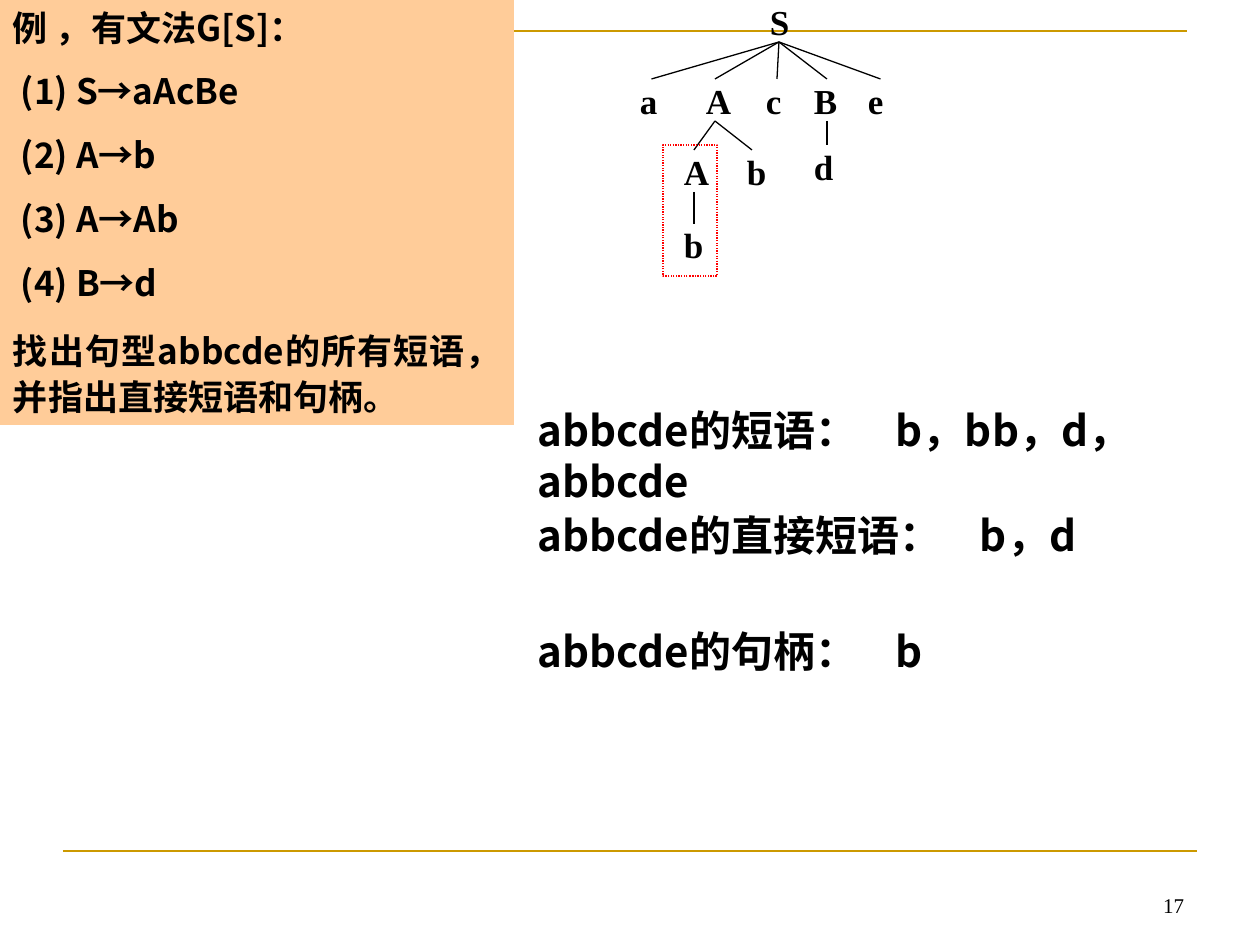
from lxml.etree import SubElement
from pptx import Presentation
from pptx.dml.color import RGBColor
from pptx.enum.dml import MSO_LINE_DASH_STYLE as Dash
from pptx.enum.shapes import MSO_CONNECTOR as Connector, MSO_SHAPE as Shape
from pptx.enum.text import MSO_ANCHOR as Anchor, PP_ALIGN as Align
from pptx.oxml.ns import qn
from pptx.util import Emu, Pt

PX = 914400 // 126
SANS, SERIF = "Noto Sans CJK SC", "Times New Roman"
BLACK, GOLD, RED, PEACH = "000000", "CC9900", "FF0000", "FFCC99"

GRAMMAR = [
    "例 ，有文法G[S]：",
    "(1) S→aAcBe",
    "(2) A→b",
    "(3) A→Ab",
    "(4) B→d",
    "找出句型abbcde的所有短语，并指出直接短语和句柄。",
]
RULE_INDENT = 8

# label and phrases, top, width, height, tab position
ANSWERS = [
    ("abbcde的短语：\tb，bb，d，abbcde", 399, 735, 113, 358),
    ("abbcde的直接短语：\tb，d", 504, 640, 63, 442),
    ("abbcde的句柄：\tb", 620, 640, 63, 358),
]
ANSWER_LEFT = 525

# node: letter, left, top, width, parent
TREE = {
    "S": ("S", 770, 0, 18, None),
    "a": ("a", 640, 79, 23, "S"),
    "A": ("A", 706, 79, 18, "S"),
    "c": ("c", 766, 79, 22, "S"),
    "B": ("B", 814, 79, 26, "S"),
    "e": ("e", 868, 79, 25, "S"),
    "inner A": ("A", 684, 150, 20, "A"),
    "right b": ("b", 747, 150, 10, "A"),
    "d": ("d", 814, 145, 26, "B"),
    "handle b": ("b", 684, 224, 20, "inner A"),
}
NODE_HEIGHT = 42
HANDLE_FRAME = (663, 145, 54, 131)


def px(value):
    return Emu(value * PX)


def rgb(color):
    return RGBColor.from_string(color)


def set_line(shape, color, width):
    shape.line.color.rgb = rgb(color)
    shape.line.width = Pt(width)


def set_font(para, size, name, bold=True):
    for span in para.runs:
        font = span.font
        font.size, font.name, font.bold = Pt(size), name, bold
        font.color.rgb = rgb(BLACK)
        SubElement(font._element, qn("a:ea"), typeface=name)


def set_frame(shape, side=0, top=0):
    frame = shape.text_frame
    frame.word_wrap = True
    frame.margin_left = frame.margin_right = px(side)
    frame.margin_top = frame.margin_bottom = px(top)
    return frame


def add_box(page, box, text, size, name, side=0, top=0, bold=True):
    shape = page.shapes.add_textbox(*map(px, box))
    frame = set_frame(shape, side, top)
    frame.text = text
    set_font(frame.paragraphs[0], size, name, bold)
    return shape


def add_line(page, points, color, width):
    line = page.shapes.add_connector(Connector.STRAIGHT, *map(px, points))
    set_line(line, color, width)
    SubElement(line._element.spPr, qn("a:effectLst"))
    return line


def add_rectangle(page, box):
    shape = page.shapes.add_shape(Shape.RECTANGLE, *map(px, box))
    shape.shadow.inherit = False
    return shape


def add_decoration(page):
    builder = page.shapes.build_freeform(53, 116, scale=PX)
    builder.add_line_segments([(53, 31), (1187, 31)], close=False)
    corner = builder.convert_to_shape()
    corner.shadow.inherit = False
    corner.fill.background()
    set_line(corner, GOLD, 1.5)
    add_line(page, (63, 851, 1197, 851), GOLD, 1.5)
    number = add_box(page, (903, 861, 294, 63), "17", 12, SERIF, 13, 6, bold=False)
    number.text_frame.vertical_anchor = Anchor.BOTTOM
    number.text_frame.paragraphs[0].alignment = Align.RIGHT


def add_grammar(page):
    panel = add_rectangle(page, (0, 0, 514, 425))
    panel.fill.solid()
    panel.fill.fore_color.rgb = rgb(PEACH)
    panel.line.fill.background()
    frame = set_frame(panel, 13, 6)
    frame.vertical_anchor = Anchor.TOP
    frame.text = "\n".join(GRAMMAR)
    for index, para in enumerate(frame.paragraphs):
        para.alignment = Align.LEFT
        para.line_spacing = Pt(24)
        if index:
            para.space_before = Pt(12.5)
        if para.text.startswith("("):
            para._p.get_or_add_pPr().set("marL", str(px(RULE_INDENT)))
        set_font(para, 20, SANS)
    question = frame.paragraphs[-1]
    question.alignment = Align.JUSTIFY
    question.line_spacing = Pt(26.4)
    # Keep the comma inside the panel instead of hanging past its edge
    question._p.get_or_add_pPr().set("hangingPunct", "0")


def add_tree(page):
    nodes = {}
    for key, (letter, left, top, width, parent) in TREE.items():
        nodes[key] = add_box(page, (left, top, width, NODE_HEIGHT), letter, 20, SERIF)
        if parent:
            branch = add_line(page, (0, 0, 0, 0), BLACK, 0.75)
            branch.begin_connect(nodes[parent], 2)
            branch.end_connect(nodes[key], 0)
    frame = add_rectangle(page, HANDLE_FRAME)
    frame.fill.background()
    set_line(frame, RED, 0.75)
    frame.line.dash_style = Dash.ROUND_DOT


def add_answers(page):
    for text, top, width, height, tab in ANSWERS:
        box = add_box(page, (ANSWER_LEFT, top, width, height), text, 24, SANS, 13, 6)
        para = box.text_frame.paragraphs[0]
        para.line_spacing = Pt(28.8)
        tabs = SubElement(para._p.get_or_add_pPr(), qn("a:tabLst"))
        SubElement(tabs, qn("a:tab"), pos=str(px(tab)), algn="l")


def main():
    deck = Presentation()
    deck.slide_width, deck.slide_height = px(1260), px(945)
    page = deck.slides.add_slide(deck.slide_layouts[6])
    add_decoration(page)
    add_grammar(page)
    add_tree(page)
    add_answers(page)
    deck.save("out.pptx")


if __name__ == "__main__":
    main()
